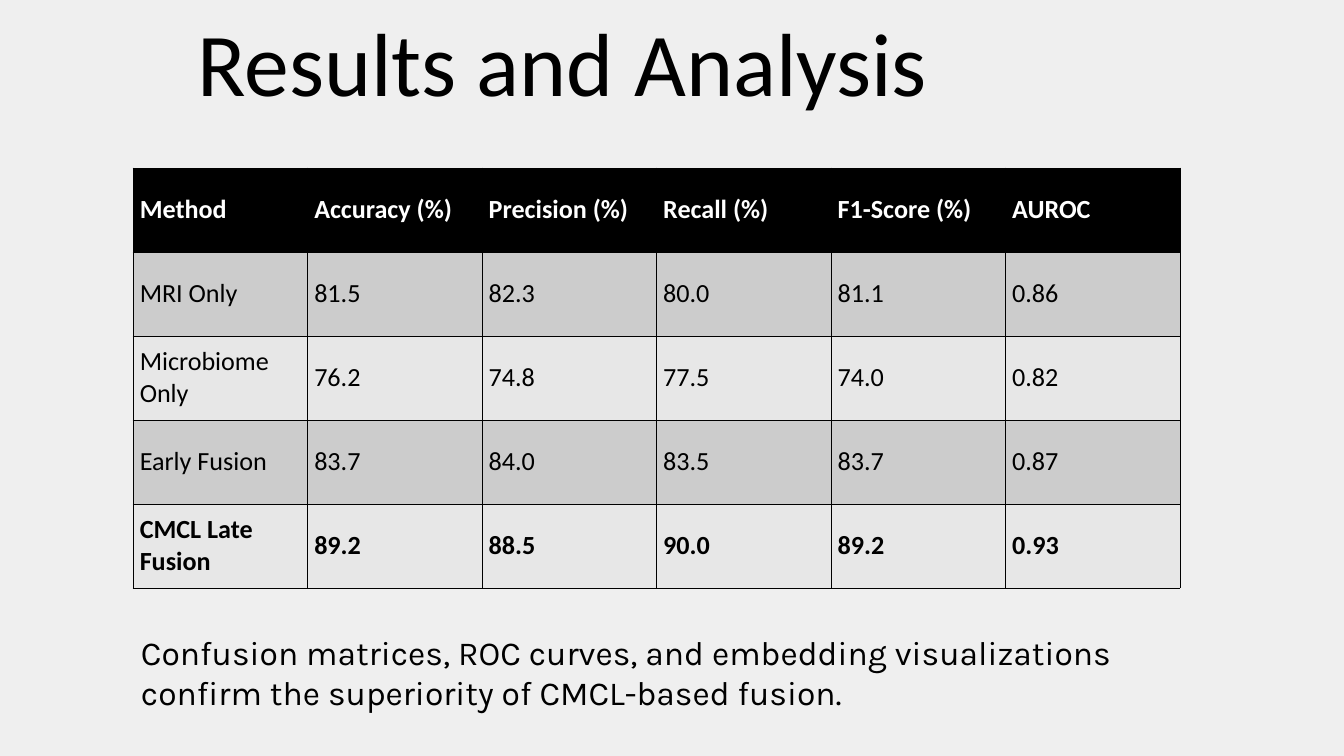
from lxml.etree import SubElement
from pptx import Presentation
from pptx.dml.color import RGBColor
from pptx.enum.text import MSO_ANCHOR, MSO_AUTO_SIZE, PP_ALIGN
from pptx.oxml.ns import qn
from pptx.util import Inches, Pt

COLORS = {
    "background": "EFEFEF",
    "ink": "000000",
    "header_text": "FFFFFF",
    "odd_row": "CCCCCC",
    "even_row": "E7E7E7",
}

RESULTS = [
    ["Method", "Accuracy (%)", "Precision (%)", "Recall (%)", "F1-Score (%)", "AUROC"],
    ["MRI Only", "81.5", "82.3", "80.0", "81.1", "0.86"],
    ["Microbiome Only", "76.2", "74.8", "77.5", "74.0", "0.82"],
    ["Early Fusion", "83.7", "84.0", "83.5", "83.7", "0.87"],
    ["CMCL Late Fusion", "89.2", "88.5", "90.0", "89.2", "0.93"],
]


def color(name):
    return RGBColor.from_string(COLORS[name])


def style_font(paragraph, family, size, color_name, bold=False):
    font = paragraph.font
    font.name = family
    font.size = Pt(size)
    font.bold = bold
    font.color.rgb = color(color_name)


def add_text(slide, text, box, family, size):
    frame = slide.shapes.add_textbox(*map(Inches, box)).text_frame
    frame.word_wrap = True
    frame.auto_size = MSO_AUTO_SIZE.SHAPE_TO_FIT_TEXT
    paragraph = frame.paragraphs[0]
    paragraph.text = text
    style_font(paragraph, family, size, "ink")
    return frame


def add_title(slide, text):
    frame = add_text(slide, text, (2.94, 0.46, 14.12, 1.27), "Calibri", 96)
    frame.margin_left = frame.margin_right = 0
    frame.margin_top = frame.margin_bottom = 0
    heading = frame.paragraphs[0]
    heading.alignment = PP_ALIGN.JUSTIFY
    heading.line_spacing = Pt(89.1)


def add_borders(cell):
    properties = cell._tc.get_or_add_tcPr()
    for position, side in enumerate(("lnL", "lnR", "lnT", "lnB")):
        line = SubElement(properties, qn(f"a:{side}"), w=str(Pt(1)))
        fill = SubElement(line, qn("a:solidFill"))
        SubElement(fill, qn("a:srgbClr"), val=COLORS["ink"])
        properties.insert(position, line)


def add_results_table(slide, rows):
    row_count, column_count = len(rows), len(rows[0])
    table = slide.shapes.add_table(
        row_count, column_count, Inches(1.98), Inches(2.5), Inches(15.58), Inches(6.25)
    ).table
    for r, row in enumerate(rows):
        is_header = r == 0
        row_fill = "ink" if is_header else ("odd_row" if r % 2 else "even_row")
        text_color = "header_text" if is_header else "ink"
        bold = r in (0, row_count - 1)
        for c, value in enumerate(row):
            cell = table.cell(r, c)
            cell.text = value
            cell.vertical_anchor = MSO_ANCHOR.MIDDLE
            cell.fill.solid()
            cell.fill.fore_color.rgb = color(row_fill)
            style_font(cell.text_frame.paragraphs[0], "Calibri", 28, text_color, bold)
            add_borders(cell)


def main():
    deck = Presentation()
    deck.slide_width = Inches(20)
    deck.slide_height = Inches(11.25)
    slide = deck.slides.add_slide(deck.slide_layouts[6])
    slide.background.fill.solid()
    slide.background.fill.fore_color.rgb = color("background")

    add_title(slide, "Results and Analysis")
    add_results_table(slide, RESULTS)
    add_text(
        slide,
        "Confusion matrices, ROC curves, and embedding visualizations "
        "confirm the superiority of CMCL-based fusion.",
        (2, 9.35, 15.33, 1.31),
        "Karla",
        36,
    )
    deck.save("out.pptx")


if __name__ == "__main__":
    main()
